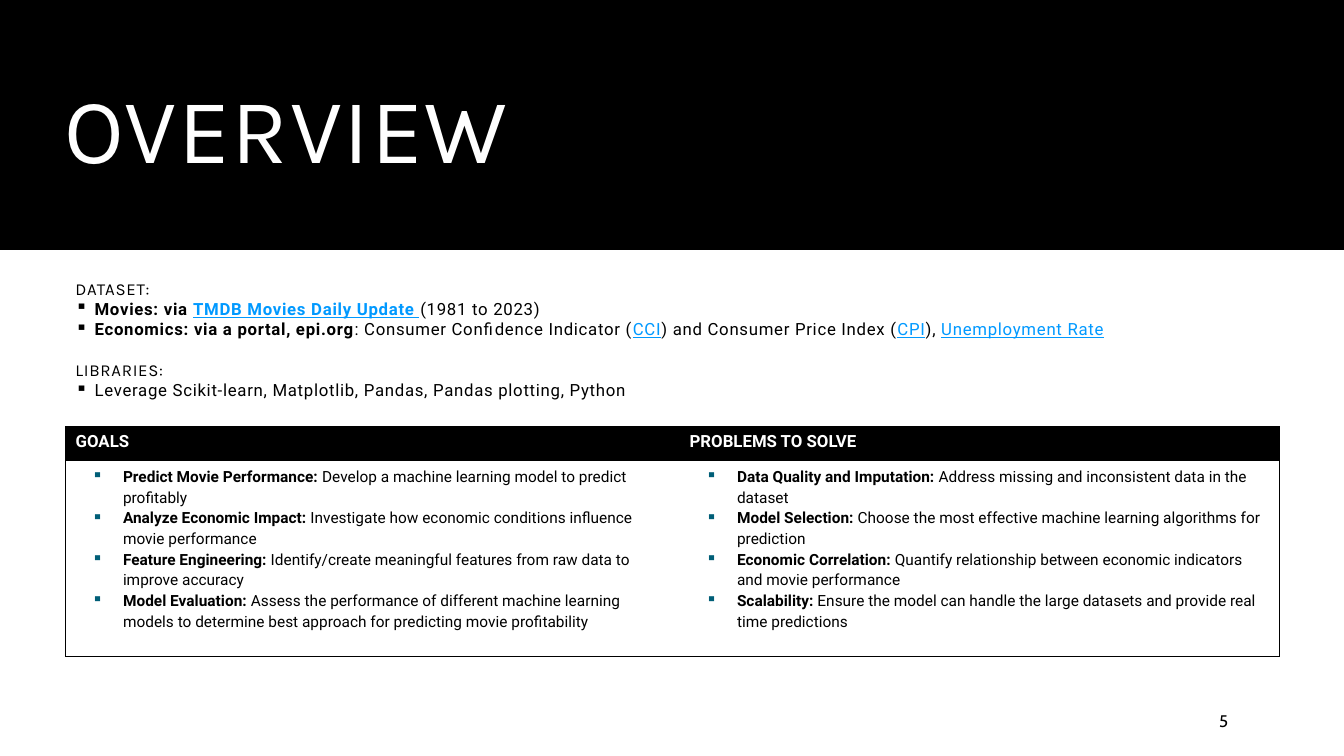
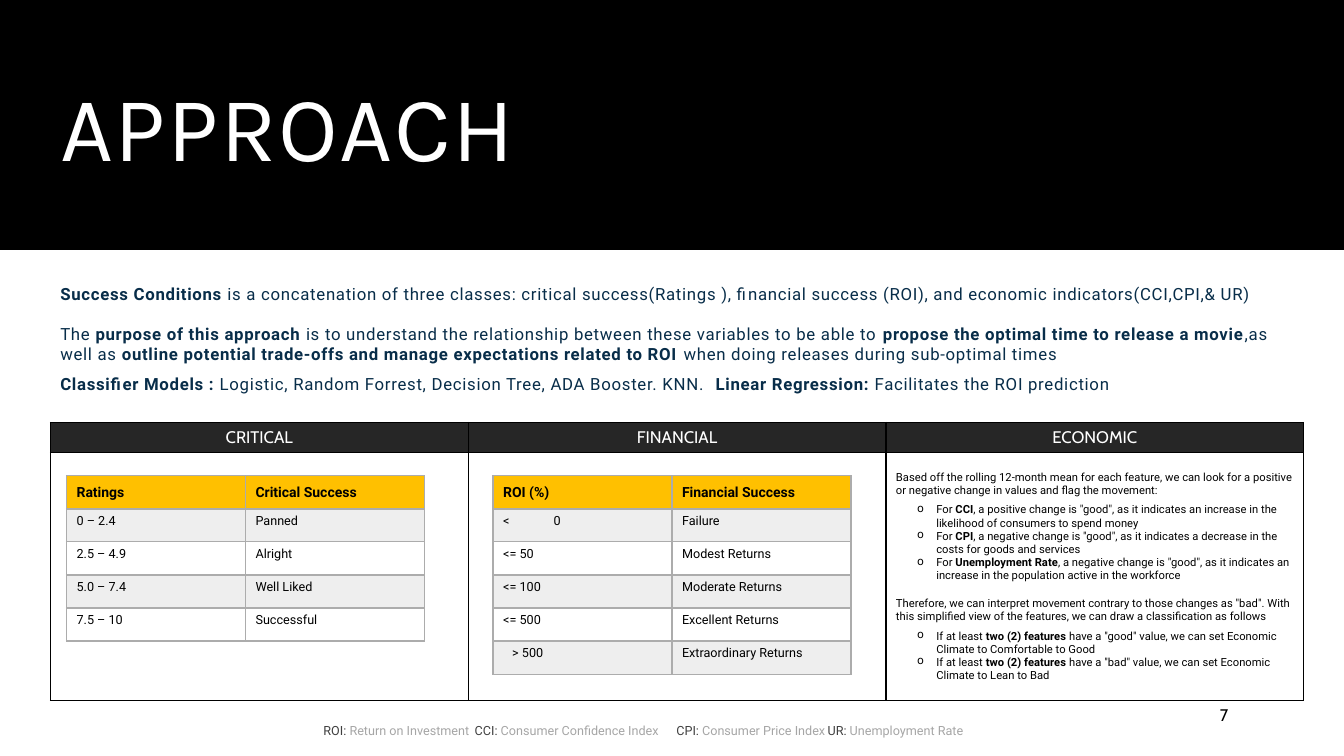
from lxml import etree
from pptx import Presentation
from pptx.dml.color import RGBColor
from pptx.enum import shapes, text
from pptx.oxml.ns import qn
from pptx.util import Inches, Pt

COLORS = {
    "black": "000000", "white": "FFFFFF", "link": "0099FF", "navy": "082D49",
    "bullet": "005E77", "header": "262626", "gold": "FFC000", "grid": "ACACAC",
    "stripe": "EEEEEE", "term": "404040", "meaning": "A6A6A6",
}
SLIDE_WIDTH, SLIDE_HEIGHT, BAND_HEIGHT = 13.33, 7.5, 2.48

# Text: a plain string is regular, a pair adds flags (b bold) or a style dict
LINK = {"color": "link", "underline": True}
HEADING = {"font": "Karla"}
DATASET = [
    [("DATASET:", HEADING)],
    [("Movies: via ", "b"), ("TMDB Movies Daily Update ", {**LINK, "bold": True}),
     "(1981 to 2023)"],
    [("Economics: via a portal, epi.org", "b"), ": Consumer Confidence Indicator (",
     ("CCI", LINK), ") and Consumer Price Index (", ("CPI", LINK), "), ",
     ("Unemployment Rate", LINK)],
    [("LIBRARIES:", HEADING)],
    ["Leverage Scikit-learn, Matplotlib, Pandas, Pandas plotting, Python"],
]
GOALS = {
    "GOALS": [
        ("Predict Movie Performance: ",
         "Develop a machine learning model to predict profitably"),
        ("Analyze Economic Impact: ",
         "Investigate how economic conditions influence movie performance"),
        ("Feature Engineering: ",
         "Identify/create meaningful features from raw data to improve accuracy"),
        ("Model Evaluation: ",
         "Assess the performance of different machine learning models to determine "
         "best approach for predicting movie profitability"),
    ],
    "PROBLEMS TO SOLVE": [
        ("Data Quality and Imputation: ",
         "Address missing and inconsistent data in the dataset"),
        ("Model Selection: ",
         "Choose the most effective machine learning algorithms for prediction"),
        ("Economic Correlation: ",
         "Quantify relationship between economic indicators and movie performance"),
        ("Scalability: ",
         "Ensure the model can handle the large datasets and provide real time predictions"),
    ],
}
SUCCESS = [
    [("Success Conditions ", "b"),
     "is a concatenation of three classes: critical success(Ratings ), "
     "financial success (ROI), and economic indicators(CCI,CPI,& UR)"],
    ["The ", ("purpose of this approach ", "b"),
     "is to understand the relationship between these variables to be able to ",
     ("propose the optimal time to release a movie", "b"), ",as well as ",
     ("outline potential trade-offs and manage expectations related to ROI ", "b"),
     "when doing releases during sub-optimal times"],
    [("Classifier Models : ", "b"),
     "Logistic, Random Forrest, Decision Tree, ADA Booster. KNN.\t",
     ("Linear Regression: ", "b"), "Facilitates the ROI prediction"],
]
CLASSES = ["CRITICAL", "FINANCIAL", "ECONOMIC"]
# Economic rules: space before in points, bulleted or not, runs
ECONOMIC = [
    (0, False, ["Based off the rolling 12-month mean for each feature, we can look for a "
                "positive or negative change in values and flag the movement:"]),
    (4.7, True, ["For ", ("CCI", "b"), ", a positive change is \"good\", as it indicates "
                 "an increase in the likelihood of consumers to spend money"]),
    (0, True, ["For ", ("CPI", "b"), ", a negative change is \"good\", as it indicates "
               "a decrease in the costs for goods and services"]),
    (0, True, ["For ", ("Unemployment Rate", "b"), ", a negative change is \"good\", as it "
               "indicates an increase in the population active in the workforce"]),
    (10.5, False, ["Therefore, we can interpret movement contrary to those changes as "
                   "\"bad\". With this simplified view of the features, we can draw a "
                   "classification as follows"]),
    (4.7, True, ["If at least ", ("two (2) features ", "b"), "have a \"good\" value, we can "
                 "set Economic Climate to Comfortable to Good"]),
    (0, True, ["If at least ", ("two (2) features ", "b"), "have a \"bad\" value, we can "
               "set Economic Climate to Lean to Bad"]),
]
RATINGS = [("Ratings", "Critical Success"), ("0 – 2.4", "Panned"), ("2.5 – 4.9", "Alright"),
           ("5.0 – 7.4", "Well Liked"), ("7.5 – 10", "Successful")]
RETURNS = [("ROI (%)", "Financial Success"), ("<\t0", "Failure"), ("<= 50", "Modest Returns"),
           ("<= 100", "Moderate Returns"), ("<= 500", "Excellent Returns"),
           ("> 500", "Extraordinary Returns")]
GLOSSARY = [("ROI: ", "Return on Investment"), ("CCI: ", "Consumer Confidence Index"),
            ("CPI: ", "Consumer Price Index"), ("UR: ", "Unemployment Rate")]


def rgb(name):
    return RGBColor.from_string(COLORS[name])


def add_runs(paragraph, runs, size, font="Roboto", color="black", bold=False, spacing=0):
    for item in runs:
        words, style = (item, {}) if isinstance(item, str) else item
        style = {"bold": True} if style == "b" else style
        run = paragraph.add_run()
        run.text = words
        run.font.size = Pt(size)
        run.font.name = style.get("font", font)
        run.font.bold = style.get("bold", bold)
        run.font.underline = style.get("underline", False)
        run.font.color.rgb = rgb(style.get("color", color))
        if spacing:
            run._r.get_or_add_rPr().set("spc", str(round(spacing * 100)))


def format_paragraph(paragraph, bullet=None, bullet_color=None, left=0, hanging=0,
                     tabs=(), before=0, line=None):
    properties = paragraph._p.get_or_add_pPr()
    properties.set("marL", str(Inches(left)))
    properties.set("indent", str(-Inches(hanging)))
    if bullet_color:
        holder = etree.SubElement(properties, qn("a:buClr"))
        etree.SubElement(holder, qn("a:srgbClr"), val=COLORS[bullet_color])
    if bullet:
        etree.SubElement(properties, qn("a:buChar"), char=bullet)
    if tabs:
        stops = etree.SubElement(properties, qn("a:tabLst"))
        for stop in tabs:
            etree.SubElement(stops, qn("a:tab"), pos=str(Inches(stop)), algn="l")
    if line:
        paragraph.line_spacing = line
    paragraph.space_before = Pt(before)


def next_paragraph(frame, index):
    return frame.add_paragraph() if index else frame.paragraphs[0]


def add_text_box(slide, left, top, width, height, anchor=text.MSO_ANCHOR.TOP):
    frame = slide.shapes.add_textbox(
        Inches(left), Inches(top), Inches(width), Inches(height)).text_frame
    frame.word_wrap = True
    frame.vertical_anchor = anchor
    return frame


def add_page(presentation, title, title_left, title_top, number, number_top):
    """Blank slide with the black band, its title and the page number."""
    slide = presentation.slides.add_slide(presentation.slide_layouts[6])
    band = slide.shapes.add_shape(shapes.MSO_SHAPE.RECTANGLE, 0, 0,
                                  Inches(SLIDE_WIDTH), Inches(BAND_HEIGHT))
    band.shadow.inherit = False
    band.fill.solid()
    band.fill.fore_color.rgb = rgb("black")
    band.line.fill.background()
    middle = text.MSO_ANCHOR.MIDDLE
    paragraph = add_text_box(slide, title_left, title_top, 11.23, 1.86, middle).paragraphs[0]
    format_paragraph(paragraph, line=0.9)
    add_runs(paragraph, [title], 66, "Karla", "white", spacing=1.2)
    paragraph = add_text_box(slide, 11.26, number_top, 1.02, 0.4, middle).paragraphs[0]
    paragraph.alignment = text.PP_ALIGN.RIGHT
    add_runs(paragraph, [number], 12, "Cabin")
    return slide


def add_grid(slide, left, top, widths, heights):
    table = slide.shapes.add_table(
        len(heights), len(widths), Inches(left), Inches(top),
        Inches(sum(widths)), Inches(sum(heights))).table
    table.first_row = table.horz_banding = False
    for column, width in zip(table.columns, widths):
        column.width = Inches(width)
    for row, height in zip(table.rows, heights):
        row.height = Inches(height)
    return table


def style_cell(cell, fill, border, widths):
    """Border widths are in points, given as left, right, top, bottom."""
    properties = cell._tc.get_or_add_tcPr()
    for side, width in zip("LRTB", widths):
        line = etree.SubElement(properties, qn("a:ln" + side), w=str(Pt(width)))
        if width:
            solid = etree.SubElement(line, qn("a:solidFill"))
            etree.SubElement(solid, qn("a:srgbClr"), val=COLORS[border])
        else:
            etree.SubElement(line, qn("a:noFill"))
    if fill:
        cell.fill.solid()
        cell.fill.fore_color.rgb = rgb(fill)
    else:
        cell.fill.background()


def add_scale_table(slide, left, rows):
    """Gold-headed, striped table of two columns."""
    table = add_grid(slide, left, 4.72, [1.775] * 2, [0.328] * len(rows))
    for row_index, row in enumerate(rows):
        header = row_index == 0
        fill = "gold" if header else "stripe" if row_index % 2 else None
        borders = (1, 1, 2 if row_index == 1 else 1, 2 if header else 1)
        for column_index, words in enumerate(row):
            cell = table.cell(row_index, column_index)
            style_cell(cell, fill, "grid", borders)
            if header:
                cell.vertical_anchor = text.MSO_ANCHOR.MIDDLE
            paragraph = cell.text_frame.paragraphs[0]
            format_paragraph(paragraph, left=0.09 if words.startswith(">") else 0,
                             tabs=[0.22] if "\t" in words else ())
            add_runs(paragraph, [words], 10 if header else 9, bold=header)


def build_overview(presentation):
    slide = add_page(presentation, "OVERVIEW", 0.54, 0.4, "5", 6.95)

    # Data sources and libraries
    frame = add_text_box(slide, 0.65, 2.71, 12.04, 1.4)
    for index, runs in enumerate(DATASET):
        paragraph = next_paragraph(frame, index)
        if runs[0][1] is HEADING:
            format_paragraph(paragraph, before=14.6 if index else 0, line=1.01)
        else:
            format_paragraph(paragraph, "▪", left=0.19, hanging=0.19, line=1.01)
        add_runs(paragraph, runs, 12, spacing=0.5)

    # Goals and problems
    table = add_grid(slide, 0.65, 4.23, [6.09, 5.95], [0.34, 1.94])
    for column, (heading, points) in enumerate(GOALS.items()):
        sides = (0.5, 0) if column == 0 else (0, 0.5)
        header, body = table.cell(0, column), table.cell(1, column)
        style_cell(header, "black", "black", (*sides, 0.5, 0.5))
        style_cell(body, None, "black", (*sides, 0.5, 0.5))
        add_runs(header.text_frame.paragraphs[0], [heading], 12, color="white", bold=True)
        for index, (name, detail) in enumerate(points):
            paragraph = next_paragraph(body.text_frame, index)
            format_paragraph(paragraph, "▪", "bullet", 0.47, 0.31, line=1.15)
            add_runs(paragraph, [(name, "b"), detail], 11)


def build_approach(presentation):
    slide = add_page(presentation, "APPROACH", 0.5, 0.38, "7", 6.89)

    # Success conditions
    frame = add_text_box(slide, 0.5, 2.76, 12.43, 1.47)
    for index, (runs, before) in enumerate(zip(SUCCESS, (0, 14, 7))):
        paragraph = next_paragraph(frame, index)
        format_paragraph(paragraph, tabs=[6.6] if index == 2 else (), before=before, line=1.01)
        add_runs(paragraph, runs, 12, color="navy", spacing=0.5)

    # Three classes of success
    table = add_grid(slide, 0.5, 4.19, [12.43 / 3] * 3, [0.3, 2.46])
    for column, heading in enumerate(CLASSES):
        style_cell(table.cell(0, column), "header", "black", [1] * 4)
        style_cell(table.cell(1, column), None, "black", [1] * 4)
        paragraph = table.cell(0, column).text_frame.paragraphs[0]
        paragraph.alignment = text.PP_ALIGN.CENTER
        add_runs(paragraph, [heading], 12, "Cabin", "white")
    economic = table.cell(1, 2)
    economic.margin_top = Inches(0.18)
    for index, (before, bulleted, runs) in enumerate(ECONOMIC):
        paragraph = next_paragraph(economic.text_frame, index)
        indent = {"bullet": "o", "left": 0.4, "hanging": 0.19} if bulleted else {}
        format_paragraph(paragraph, before=before, **indent)
        add_runs(paragraph, runs, 8)
    add_scale_table(slide, 0.66, RATINGS)
    add_scale_table(slide, 4.89, RETURNS)

    # Glossary
    paragraph = add_text_box(slide, 3.11, 7.12, 6.75, 0.25).paragraphs[0]
    format_paragraph(paragraph, tabs=[1.58, 3.53, 5.1])
    for index, (term, meaning) in enumerate(GLOSSARY):
        add_runs(paragraph, ["\t" + term if index else term], 9, color="term")
        add_runs(paragraph, [meaning], 9, color="meaning")


def main():
    presentation = Presentation()
    presentation.slide_width = Inches(SLIDE_WIDTH)
    presentation.slide_height = Inches(SLIDE_HEIGHT)
    build_overview(presentation)
    build_approach(presentation)
    presentation.save("out.pptx")


if __name__ == "__main__":
    main()
